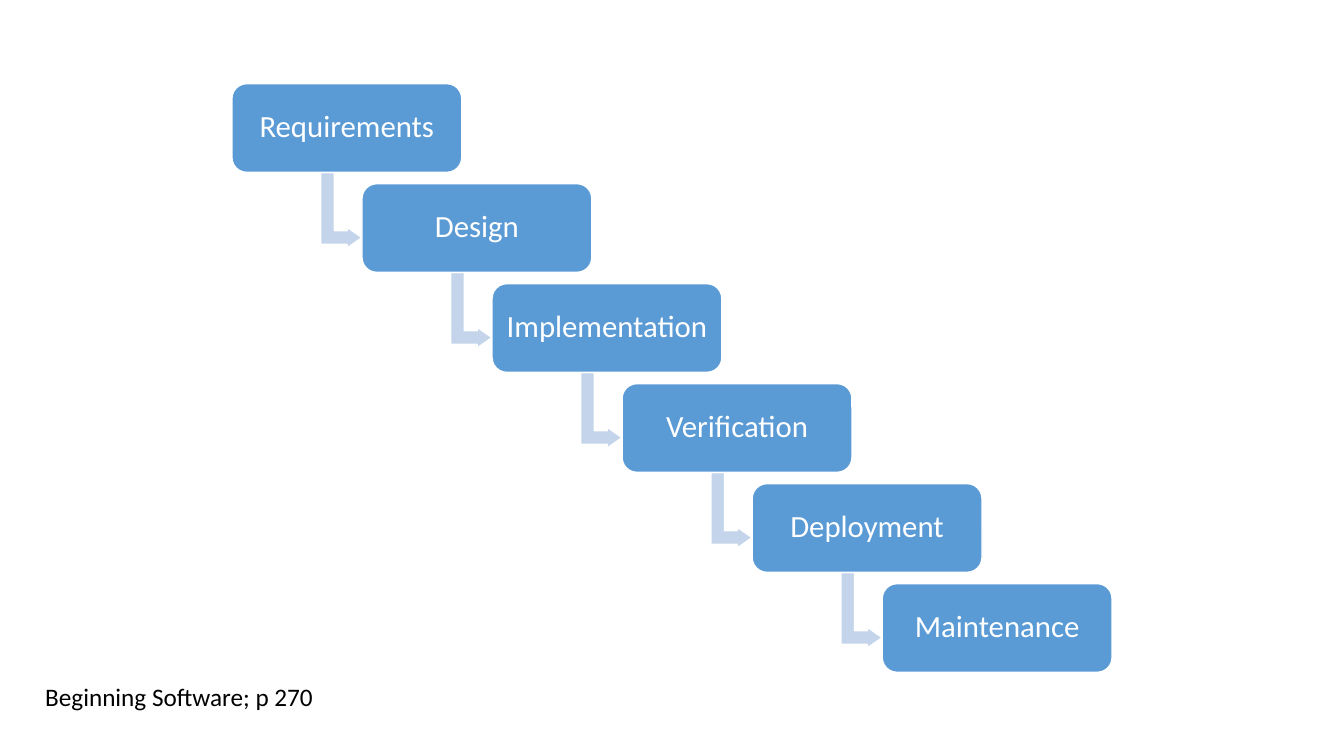
from typing import NamedTuple

from pptx import Presentation
from pptx.dml.color import RGBColor
from pptx.enum.shapes import MSO_SHAPE as Preset
from pptx.enum.text import MSO_ANCHOR as Anchor, MSO_AUTO_SIZE as AutoSize, PP_ALIGN as Align
from pptx.util import Inches, Pt

FONT = "Calibri"
STAGE_BLUE, ARROW_BLUE = "5B9BD5", "C4D5EB"
WHITE, BLACK = "FFFFFF", "000000"
STEP_X, STEP_Y = 1.29, 0.992


class Box(NamedTuple):
    """A frame in inches."""
    left: float
    top: float
    width: float
    height: float

    def moved(self, steps: int) -> "Box":
        """Return the frame a number of steps down the cascade."""
        return self._replace(left=self.left + steps * STEP_X,
                             top=self.top + steps * STEP_Y)

    def lengths(self) -> list:
        """Return the frame as slide lengths."""
        return [Inches(value) for value in self]


FIRST_STAGE = Box(2.3, 0.83, 2.28, 0.88)
FIRST_ARROW = Box(3.01, 1.88, 0.75, 0.41)
STAGES = ["Requirements", "Design", "Implementation",
          "Verification", "Deployment", "Maintenance"]


def color(hex_value: str) -> RGBColor:
    """Turn a hex string into a colour."""
    return RGBColor.from_string(hex_value)


def add_block(slide, preset, box: Box, fill: str, adjustments: list):
    """Add a filled preset shape with a thin white outline."""
    block = slide.shapes.add_shape(preset, *box.lengths())
    block.shadow.inherit = False
    block.fill.solid()
    block.fill.fore_color.rgb = color(fill)
    block.line.color.rgb = color(WHITE)
    block.line.width = Pt(1)
    for index, value in enumerate(adjustments):
        block.adjustments[index] = value
    return block


def write(paragraph, text: str, size: int, hex_value: str) -> None:
    """Add one styled run to a paragraph."""
    run = paragraph.add_run()
    run.text = text
    run.font.name = FONT
    run.font.size = Pt(size)
    run.font.color.rgb = color(hex_value)


def add_stage(slide, label: str, box: Box) -> None:
    """Add a rounded stage box with its centred label."""
    stage = add_block(slide, Preset.ROUNDED_RECTANGLE, box, STAGE_BLUE, [0.167])
    frame = stage.text_frame
    frame.word_wrap = True
    frame.vertical_anchor = Anchor.MIDDLE
    frame.margin_left = frame.margin_right = Inches(0.09)
    frame.margin_top = frame.margin_bottom = Inches(0.09)
    paragraph = frame.paragraphs[0]
    paragraph.alignment = Align.CENTER
    paragraph.line_spacing = 0.9
    write(paragraph, label, 22, WHITE)


def add_arrow(slide, box: Box) -> None:
    """Add a bent arrow leading down and right to the next stage."""
    arrow = add_block(slide, Preset.BENT_UP_ARROW, box, ARROW_BLUE, [0.33, 0.25, 0.36])
    arrow.rotation = 90


def add_citation(slide, text: str, box: Box) -> None:
    """Add the source reference at the foot of the slide."""
    frame = slide.shapes.add_textbox(*box.lengths()).text_frame
    frame.word_wrap = True
    frame.auto_size = AutoSize.SHAPE_TO_FIT_TEXT
    write(frame.paragraphs[0], text, 18, BLACK)


presentation = Presentation()
presentation.slide_width = Inches(13.33)
presentation.slide_height = Inches(7.5)
slide = presentation.slides.add_slide(presentation.slide_layouts[6])

for step, stage_name in enumerate(STAGES):
    if step < len(STAGES) - 1:
        add_arrow(slide, FIRST_ARROW.moved(step))
    add_stage(slide, stage_name, FIRST_STAGE.moved(step))
add_citation(slide, "Beginning Software; p 270", Box(0.35, 6.71, 3.08, 0.4))

presentation.save("out.pptx")
